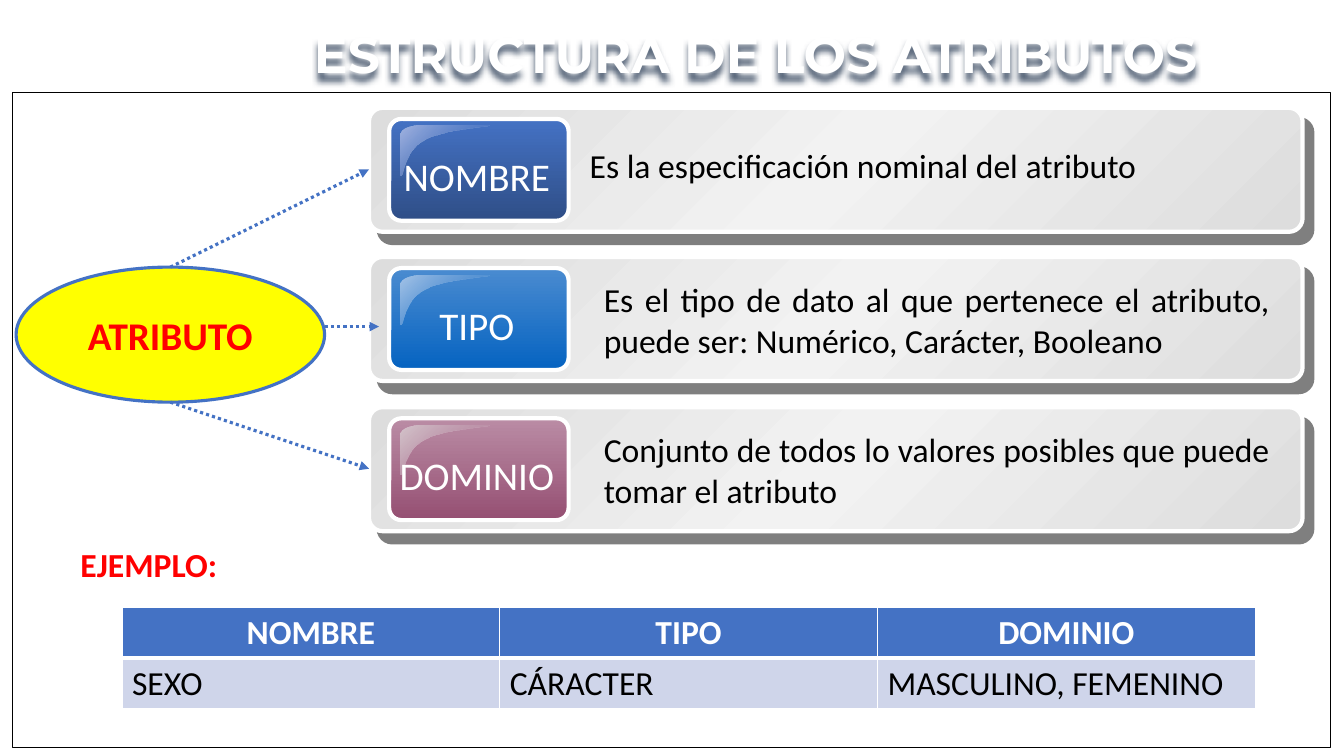
import pptx
import pptx.dml.color
import pptx.enum.dml
import pptx.enum.shapes
import pptx.enum.text
import pptx.oxml
import pptx.oxml.ns
import pptx.util

PX = 9144
SHAPE = pptx.enum.shapes.MSO_SHAPE
ALIGN = pptx.enum.text.PP_ALIGN
BLUE, WHITE, BLACK, RED = "4472C4", "FFFFFF", "000000", "FF0000"
NAMESPACE = pptx.oxml.ns.nsdecls("a")


def color(value):
    """Return the colour for a hex string."""
    return pptx.dml.color.RGBColor.from_string(value)


def write(frame, text, size, ink, align=ALIGN.LEFT, bold=False, font="Calibri"):
    """Write one run into the first paragraph of a text frame."""
    para = frame.paragraphs[0]
    para.alignment = align
    span = para.add_run()
    span.text = text
    span.font.name = font
    span.font.size = pptx.util.Pt(size)
    span.font.bold = bold
    span.font.color.rgb = color(ink)


def add_text(page, place, text, size, ink, align=ALIGN.LEFT, bold=False, wrap=True, font="Calibri"):
    """Add a text box holding one run."""
    box = page.shapes.add_textbox(*[value * PX for value in place])
    box.text_frame.word_wrap = wrap
    write(box.text_frame, text, size, ink, align, bold, font)
    return box


def add_shape(page, kind, place, fill, line, width):
    """Add a filled and outlined preset shape without shadow."""
    shape = page.shapes.add_shape(kind, *[value * PX for value in place])
    shape.shadow.inherit = False
    shape.fill.solid()
    shape.fill.fore_color.rgb = color(fill)
    shape.line.color.rgb = color(line)
    shape.line.width = pptx.util.Pt(width)
    return shape


def set_gradient(shape, stops, angle):
    """Replace a solid fill by a gradient of (position, colour, opacity) stops."""
    marks = "".join(
        f'<a:gs pos="{place * 1000}"><a:srgbClr val="{value}">'
        f'<a:alpha val="{opacity * 1000}"/></a:srgbClr></a:gs>'
        for place, value, opacity in stops
    )
    gradient = pptx.oxml.parse_xml(
        f'<a:gradFill {NAMESPACE} rotWithShape="1"><a:gsLst>{marks}</a:gsLst>'
        f'<a:lin ang="{angle * 60000}" scaled="0"/></a:gradFill>'
    )
    solid = shape.element.spPr.find(pptx.oxml.ns.qn("a:solidFill"))
    solid.getparent().replace(solid, gradient)


def set_shadow(shape, value, opacity, blur, distance, angle):
    """Give a shape an outer shadow, with lengths in points."""
    shape.shadow.inherit = False
    effects = shape.element.spPr.find(pptx.oxml.ns.qn("a:effectLst"))
    effects.append(pptx.oxml.parse_xml(
        f'<a:outerShdw {NAMESPACE} blurRad="{int(blur * 12700)}" dist="{int(distance * 12700)}" '
        f'dir="{angle * 60000}" algn="ctr" rotWithShape="0"><a:srgbClr val="{value}">'
        f'<a:alpha val="{opacity * 1000}"/></a:srgbClr></a:outerShdw>'
    ))


def curve(points, steps=12):
    """Sample a cubic curve given by four points, leaving out its start."""
    result = []
    for step in range(1, steps + 1):
        t = step / steps
        weights = ((1 - t) ** 3, 3 * t * (1 - t) ** 2, 3 * t * t * (1 - t), t ** 3)
        result.append(tuple(
            sum(weight * point[axis] for weight, point in zip(weights, points))
            for axis in (0, 1)
        ))
    return result


def add_gloss(page, left, top, light, base):
    """Add the curved highlight in the corner of a button."""
    outline = (
        curve([(18, 0), (8, 0), (0, 4), (0, 10)])
        + [(0, 49)]
        + curve([(0, 49), (4, 50), (2, 26), (24, 14)])
        + curve([(24, 14), (46, 3), (89, 2), (88, 0)])
    )
    points = [((left + x) * PX, (top + y) * PX) for x, y in outline]
    builder = page.shapes.build_freeform((left + 18) * PX, top * PX)
    builder.add_line_segments(points, close=True)
    gloss = builder.convert_to_shape()
    gloss.shadow.inherit = False
    gloss.fill.solid()
    gloss.line.fill.background()
    set_gradient(gloss, [(0, light, 100), (100, base, 0)], 45)


def add_card(page, top, label, upper, lower, light, detail, detail_place):
    """Add a grey card with a glossy labelled button and a description."""
    card = add_shape(page, SHAPE.ROUNDED_RECTANGLE, (366, top, 926, 123), "DDDDDD", WHITE, 3)
    card.adjustments[0] = 0.11
    set_gradient(card, [(0, "DDDDDD", 100), (50, "F2F2F2", 100), (100, "DDDDDD", 100)], 45)
    set_shadow(card, BLACK, 50, 0, 10.6, 49)
    button = add_shape(page, SHAPE.ROUNDED_RECTANGLE, (386, top + 11, 178, 101), upper, WHITE, 3)
    button.adjustments[0] = 0.12
    set_gradient(button, [(0, upper, 100), (100, lower, 100)], 90)
    add_gloss(page, 397, top + 18, light, upper)
    add_text(page, (378, top + 39, 190, 47), label, 28, WHITE, ALIGN.CENTER, wrap=False)
    left, drop, height = detail_place
    add_text(page, (left, top + drop, 680, height), detail, 24, BLACK, ALIGN.JUSTIFY)


def add_arrow(page, start, end):
    """Add a dotted arrow."""
    ends = [value * PX for value in start + end]
    arrow = page.shapes.add_connector(pptx.enum.shapes.MSO_CONNECTOR.STRAIGHT, *ends)
    arrow.line.color.rgb = color(BLUE)
    arrow.line.width = pptx.util.Pt(2.25)
    arrow.line.dash_style = pptx.enum.dml.MSO_LINE.ROUND_DOT
    arrow.line._get_or_add_ln().append(pptx.oxml.parse_xml(f'<a:tailEnd {NAMESPACE} type="triangle"/>'))
    arrow.element.spPr.append(pptx.oxml.parse_xml(f"<a:effectLst {NAMESPACE}/>"))


def set_borders(cell, widths):
    """Draw white cell borders with widths in points."""
    properties = cell._tc.get_or_add_tcPr()
    for side, width in zip("LRTB", widths):
        properties.append(pptx.oxml.parse_xml(
            f'<a:ln{side} {NAMESPACE} w="{width * 12700}"><a:solidFill>'
            f'<a:srgbClr val="{WHITE}"/></a:solidFill></a:ln{side}>'
        ))


def add_example_table(page, place, rows):
    """Add the example table with a blue header row."""
    frame = page.shapes.add_table(len(rows), len(rows[0]), *[value * PX for value in place])
    for row_index, row in enumerate(rows):
        header = row_index == 0
        for column_index, text in enumerate(row):
            cell = frame.table.cell(row_index, column_index)
            set_borders(cell, (1, 1, 1, 3) if header else (1, 1, 3, 1))
            cell.fill.solid()
            cell.fill.fore_color.rgb = color(BLUE if header else "CFD5EA")
            align = ALIGN.CENTER if header else ALIGN.LEFT
            write(cell.text_frame, text, 24, WHITE if header else BLACK, align, header)


def main():
    """Build the slide and save it."""
    deck = pptx.Presentation()
    deck.slide_width, deck.slide_height = 1333 * PX, 750 * PX
    page = deck.slides.add_slide(deck.slide_layouts[6])
    add_shape(page, SHAPE.RECTANGLE, (12, 92, 1308, 650), WHITE, BLACK, 0.75)
    cards = [
        (107, "NOMBRE", BLUE, "2F4E87", "A3B4E0",
         "Es la especificación nominal del atributo", (575, 32, 51)),
        (255, "TIPO", "4A8BD0", "0563C1", "A5C4E8",
         "Es el tipo de dato al que pertenece el atributo, puede ser: Numérico, Carácter, Booleano",
         (589, 17, 91)),
        (404, "DOMINIO", "BA8CA5", "954F72", "D4C4CB",
         "Conjunto de todos lo valores posibles que puede tomar el atributo", (589, 17, 91)),
    ]
    for card in cards:
        add_card(page, *card)
    attribute = add_shape(page, SHAPE.OVAL, (16, 265, 306, 134), "FFFF00", BLUE, 2.25)
    attribute.text_frame.vertical_anchor = pptx.enum.text.MSO_ANCHOR.MIDDLE
    write(attribute.text_frame, "ATRIBUTO", 28, RED, ALIGN.CENTER, True)
    add_example_table(page, (121, 603, 1124, 100), [
        ("NOMBRE", "TIPO", "DOMINIO"),
        ("SEXO", "CÁRACTER", "MASCULINO, FEMENINO"),
    ])
    title = add_text(page, (182, 23, 1135, 61), "ESTRUCTURA DE LOS ATRIBUTOS", 36, WHITE,
                     ALIGN.CENTER, True, font="Montserrat")
    frame = title.text_frame
    frame.margin_left = frame.margin_right = frame.margin_top = frame.margin_bottom = 0
    set_shadow(title, "44546A", 90, 3, 4, 110)
    for start, end in [((169, 265), (366, 168)), ((169, 399), (366, 465)), ((322, 324), (376, 324))]:
        add_arrow(page, start, end)
    add_text(page, (70, 535, 157, 50), "EJEMPLO:", 24, RED, bold=True, wrap=False)
    deck.save("out.pptx")


if __name__ == "__main__":
    main()
